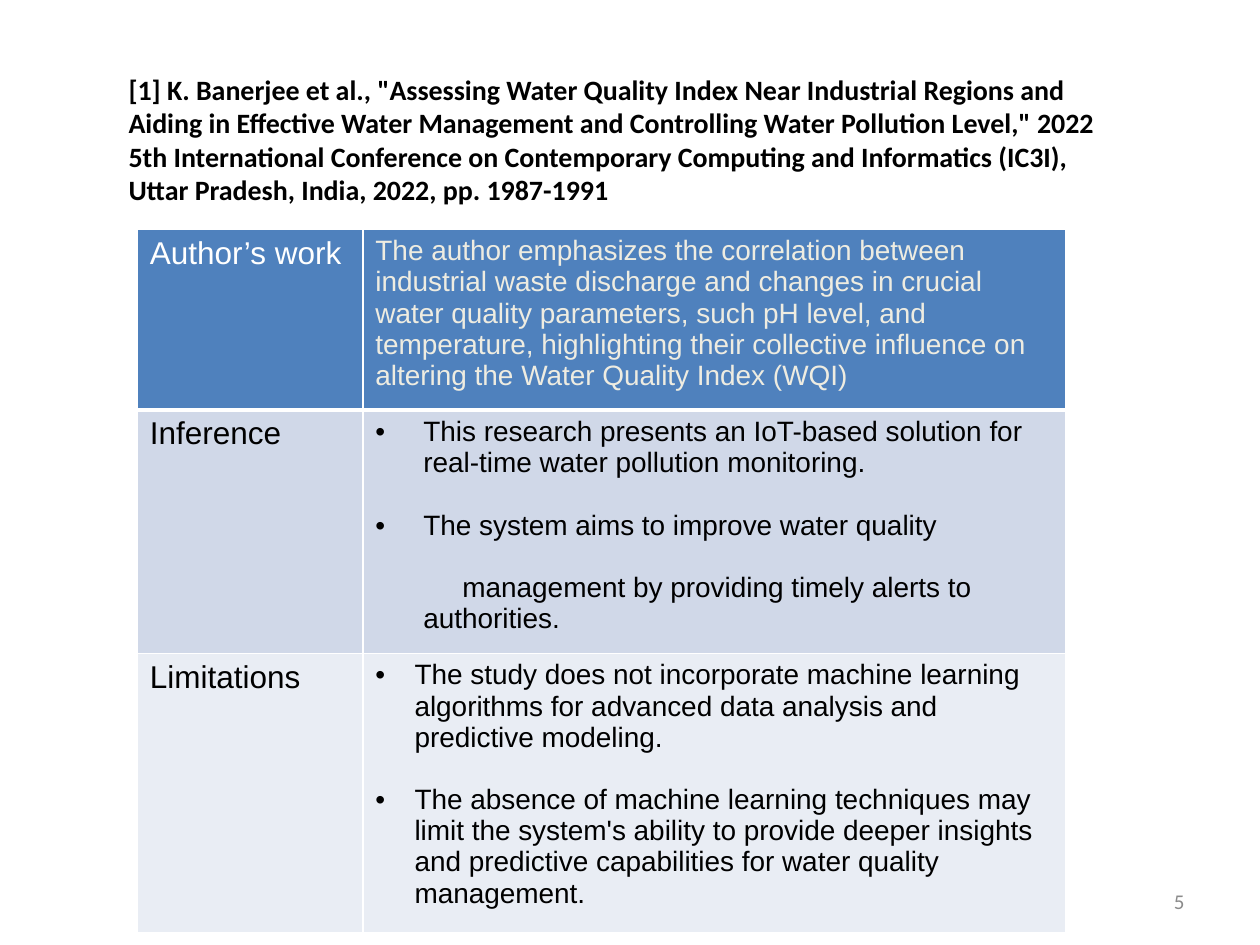
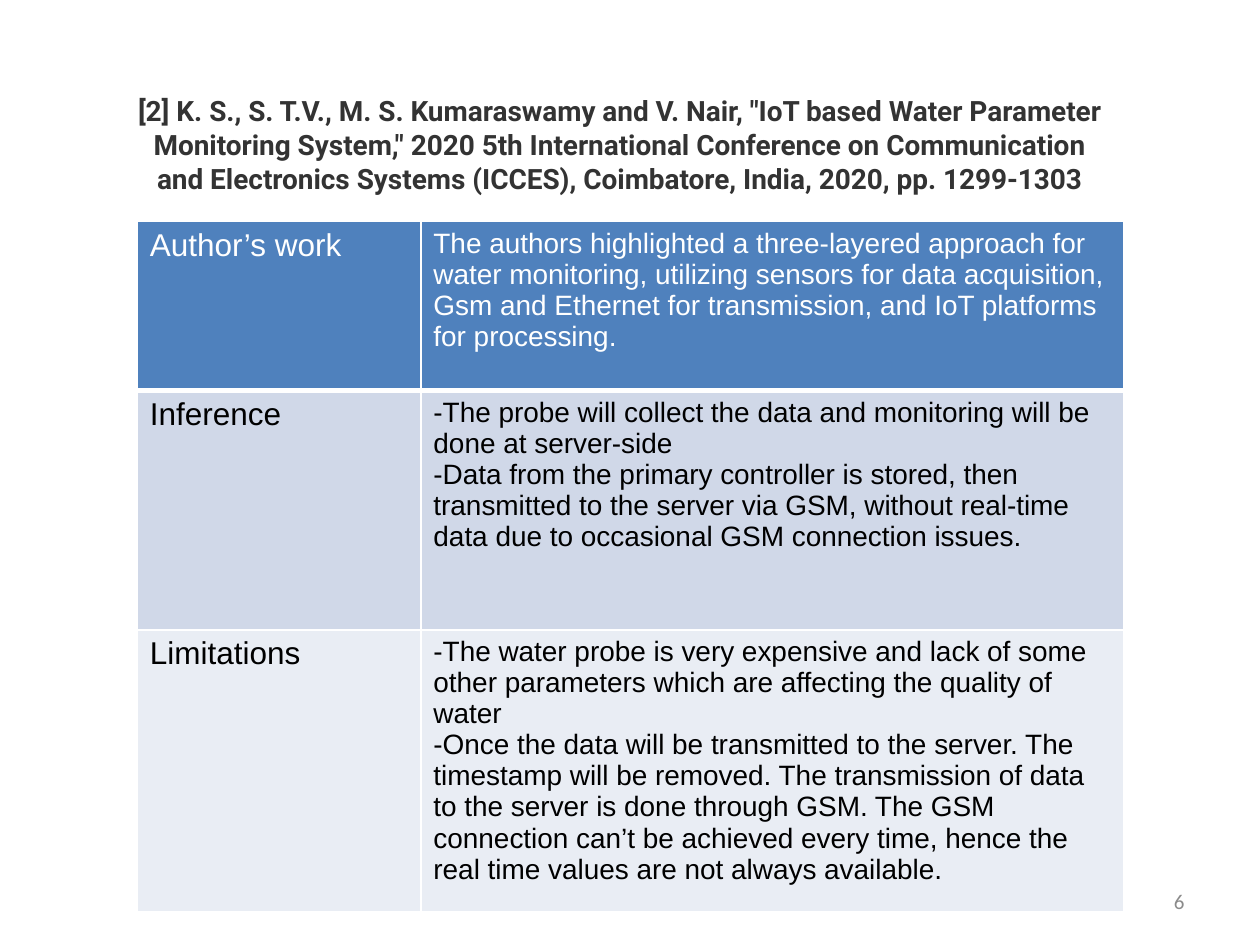
from lxml import etree
from pptx import Presentation
from pptx.dml.color import RGBColor
from pptx.enum.text import MSO_ANCHOR, MSO_AUTO_SIZE, PP_ALIGN
from pptx.oxml.ns import qn
from pptx.util import Inches, Pt

LEFT, CENTER, RIGHT = PP_ALIGN.LEFT, PP_ALIGN.CENTER, PP_ALIGN.RIGHT
MIDDLE = MSO_ANCHOR.MIDDLE
NO_AUTOFIT = MSO_AUTO_SIZE.NONE

WHITE = RGBColor(0xFF, 0xFF, 0xFF)
BLACK = RGBColor(0x00, 0x00, 0x00)
CHARCOAL = RGBColor(0x33, 0x33, 0x33)
NUMBER_GREY = RGBColor(0x8B, 0x8B, 0x8B)
HEADER_BLUE = RGBColor(0x4F, 0x81, 0xBD)
BAND_DARK = RGBColor(0xD0, 0xD8, 0xE8)
BAND_LIGHT = RGBColor(0xE9, 0xED, 0xF4)
CREAM = RGBColor(0xEE, 0xEC, 0xE1)

TITLE_ONLY = 5
FIRST_NUMBER = 5
NUMBER_BOX = (7.17, 6.95, 2.33, 0.4)
ROW_LABELS = ("Author’s work", "Inference", "Limitations")
ROW_FILLS = (HEADER_BLUE, BAND_DARK, BAND_LIGHT)
ROW_HEIGHTS = (1.34, 1.9, 2.07)
LABEL_FONT = {"name": "Arial", "size": Pt(18), "bold": False}
BODY_FONT = {"name": "Arial", "size": Pt(16), "bold": False}
NUMBER_FONT = {"name": "Calibri", "size": Pt(12)}
BLANK_LINE = Pt(18)


def bullet(text, indent, gap=0):
    return {"text": text, "margin": indent, "first": -indent, "bullet": True, "gap": gap}


REVIEWS = (
    {
        "title": "[1] K. Banerjee et al., \"Assessing Water Quality Index Near Industrial Regions "
                 "and Aiding in Effective Water Management and Controlling Water Pollution Level,\" "
                 "2022 5th International Conference on Contemporary Computing and Informatics "
                 "(IC3I), Uttar Pradesh, India, 2022, pp. 1987-1991",
        "title_box": (0.92, 0.55, 8, 1.11),
        "title_font": {"name": "Calibri", "size": Pt(16), "bold": True},
        "title_color": BLACK,
        "title_align": LEFT,
        "table_origin": (1.09, 1.82),
        "columns": (1.79, 5.58),
        "header_color": CREAM,
        "rows": (
            [{"text": "The author emphasizes the correlation between industrial waste discharge "
                      "and changes in crucial water quality parameters, such pH level, and "
                      "temperature, highlighting their collective influence on altering the "
                      "Water Quality Index (WQI)"}],
            [bullet("This research presents an IoT-based solution for real-time water pollution "
                    "monitoring.", 0.38),
             bullet("The system aims to improve water quality", 0.38, BLANK_LINE),
             {"text": "management by providing timely alerts to authorities.",
              "margin": 0.38, "first": 0.31, "gap": BLANK_LINE}],
            [bullet("The study does not incorporate machine learning algorithms for advanced "
                    "data analysis and predictive modeling.", 0.31),
             bullet("The absence of machine learning techniques may limit the system's ability "
                    "to provide deeper insights and predictive capabilities for water quality "
                    "management.", 0.31, BLANK_LINE)],
        ),
    },
    {
        "title": "[2] K. S., S. T.V., M. S. Kumaraswamy and V. Nair, \"IoT based Water Parameter "
                 "Monitoring System,\" 2020 5th International Conference on Communication and "
                 "Electronics Systems (ICCES), Coimbatore, India, 2020, pp. 1299-1303",
        "title_box": (0.92, 0.59, 8, 1.11),
        "title_font": {"name": "Roboto", "size": Pt(16), "bold": True},
        "title_color": CHARCOAL,
        "title_align": CENTER,
        "table_origin": (1.09, 1.76),
        "columns": (2.25, 5.58),
        "header_color": WHITE,
        "rows": (
            [{"text": "The authors highlighted a three-layered approach for water monitoring, "
                      "utilizing sensors for data acquisition, Gsm and Ethernet for transmission, "
                      "and IoT platforms for processing."}],
            [{"text": "-The probe will collect the data and monitoring will be done at "
                      "server-side"},
             {"text": "-Data from the primary controller is stored, then transmitted to the "
                      "server via GSM, without real-time data due to occasional GSM connection "
                      "issues."}],
            [{"text": "-The water probe is very expensive and lack of some other parameters which "
                      "are affecting the quality of water"},
             {"text": "-Once the data will be transmitted to the server. The timestamp will be "
                      "removed. The transmission of data to the server is done through GSM. The "
                      "GSM connection can’t be achieved every time, hence the real time values "
                      "are not always available."}],
        ),
    },
)


def format_font(font, values, color):
    for name, value in values.items():
        setattr(font, name, value)
    font.color.rgb = color


def place(shape, box):
    for name, value in zip(("left", "top", "width", "height"), box):
        setattr(shape, name, Inches(value))


def fill_title(slide, review):
    title = slide.shapes.title
    place(title, review["title_box"])
    frame = title.text_frame
    frame.auto_size = NO_AUTOFIT
    frame.vertical_anchor = MIDDLE
    frame.text = review["title"]
    paragraph = frame.paragraphs[0]
    paragraph.alignment = review["title_align"]
    format_font(paragraph.runs[0].font, review["title_font"], review["title_color"])


def add_slide_number(slide, number, box):
    shape = slide.shapes.add_textbox(*map(Inches, box))
    frame = shape.text_frame
    frame.word_wrap = True
    frame.vertical_anchor = MIDDLE
    paragraph = frame.paragraphs[0]
    paragraph.alignment = RIGHT
    run = paragraph.add_run()
    run.text = str(number)
    format_font(run.font, NUMBER_FONT, NUMBER_GREY)
    # Turn the run into a live slide-number field
    field = etree.SubElement(paragraph._p, qn("a:fld"), type="slidenum",
                             id="{B6F15528-21DE-4FAA-801E-634DDDAF4B2B}")
    field.extend(list(run._r))
    paragraph._p.remove(run._r)


def set_borders(cell, top, bottom):
    properties = cell._tc.get_or_add_tcPr()
    widths = {"a:lnL": 1, "a:lnR": 1, "a:lnT": top, "a:lnB": bottom}
    for index, (tag, width) in enumerate(widths.items()):
        line = etree.Element(qn(tag), w=str(Pt(width)))
        fill = etree.SubElement(line, qn("a:solidFill"))
        etree.SubElement(fill, qn("a:srgbClr"), val=str(WHITE))
        properties.insert(index, line)


def write_cell(cell, items, font, color):
    frame = cell.text_frame
    for index, item in enumerate(items):
        paragraph = frame.add_paragraph() if index else frame.paragraphs[0]
        run = paragraph.add_run()
        run.text = item["text"]
        format_font(run.font, font, color)
        if item.get("gap"):
            paragraph.space_before = item["gap"]
        properties = paragraph._p.get_or_add_pPr()
        if "margin" in item:
            properties.set("marL", str(Inches(item["margin"])))
            properties.set("indent", str(Inches(item["first"])))
        if item.get("bullet"):
            etree.SubElement(properties, qn("a:buFont"), typeface="Arial")
            etree.SubElement(properties, qn("a:buChar"), char="•")


def add_review_table(slide, review):
    columns = review["columns"]
    box = (*review["table_origin"], sum(columns), sum(ROW_HEIGHTS))
    table = slide.shapes.add_table(len(ROW_LABELS), len(columns), *map(Inches, box)).table
    for column, width in zip(table.columns, columns):
        column.width = Inches(width)
    for index, (label, items) in enumerate(zip(ROW_LABELS, review["rows"])):
        table.rows[index].height = Inches(ROW_HEIGHTS[index])
        is_header = index == 0
        label_cell, body_cell = table.cell(index, 0), table.cell(index, 1)
        write_cell(label_cell, [{"text": label}], LABEL_FONT, WHITE if is_header else BLACK)
        write_cell(body_cell, items, BODY_FONT, review["header_color"] if is_header else BLACK)
        for cell in (label_cell, body_cell):
            cell.fill.solid()
            cell.fill.fore_color.rgb = ROW_FILLS[index]
            # A thick rule divides the header from the first body row
            set_borders(cell, top=3 if index == 1 else 1, bottom=3 if is_header else 1)


def add_review_slide(presentation, review, number):
    slide = presentation.slides.add_slide(presentation.slide_layouts[TITLE_ONLY])
    add_slide_number(slide, number, NUMBER_BOX)
    fill_title(slide, review)
    add_review_table(slide, review)


def main():
    presentation = Presentation()
    presentation.slide_width = Inches(10)
    presentation.slide_height = Inches(7.5)
    presentation.element.set("firstSlideNum", str(FIRST_NUMBER))
    for number, review in enumerate(REVIEWS, FIRST_NUMBER):
        add_review_slide(presentation, review, number)
    presentation.save("out.pptx")


if __name__ == "__main__":
    main()
